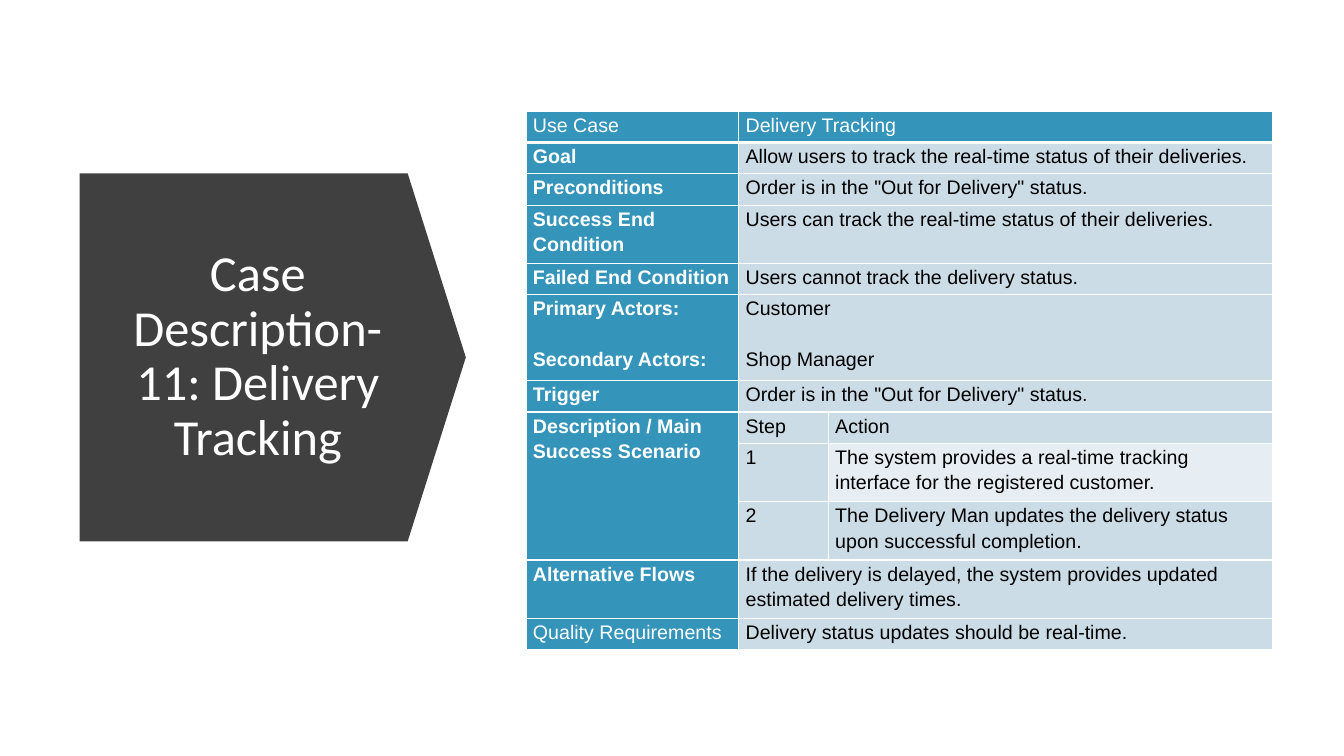
import lxml.etree
import pptx
import pptx.dml.color
import pptx.enum.shapes
import pptx.enum.text
import pptx.oxml.ns
import pptx.util

Cm = pptx.util.Cm
Pt = pptx.util.Pt
RGBColor = pptx.dml.color.RGBColor

WHITE = RGBColor(0xFF, 0xFF, 0xFF)
BLACK = RGBColor(0x00, 0x00, 0x00)
CHARCOAL = RGBColor(0x40, 0x40, 0x40)
TEAL = RGBColor(0x34, 0x94, 0xBA)
PALE_BLUE = RGBColor(0xCC, 0xDC, 0xE6)
LIGHT_BLUE = RGBColor(0xE7, 0xEE, 0xF3)

TITLE_FONT = {"name": "Calibri", "size": Pt(36)}
PLAIN_LABEL = {"name": "Arial", "size": Pt(14), "bold": False}
BOLD_LABEL = {**PLAIN_LABEL, "bold": True}
CELL_MARGINS = {
    "margin_left": Cm(0.17),
    "margin_right": Cm(0.17),
    "margin_top": 0,
    "margin_bottom": 0,
}

COLUMN_WIDTHS = [5.36, 2.26, 11.2]
ROW_HEIGHTS = {1: 0.79, 2: 1.47, 3: 2.16}
USE_CASE = [
    (1, "Use Case", "Delivery Tracking"),
    (1, "Goal", "Allow users to track the real-time status of their deliveries."),
    (1, "Preconditions", 'Order is in the "Out for Delivery" status.'),
    (2, "Success End Condition", "Users can track the real-time status of their deliveries."),
    (1, "Failed End Condition", "Users cannot track the delivery status."),
    (3, "Primary Actors:\nSecondary Actors:", "Customer\nShop Manager"),
    (1, "Trigger", 'Order is in the "Out for Delivery" status.'),
    (1, "Description / Main Success Scenario", "Step", "Action"),
    (2, "", "1", "The system provides a real-time tracking interface for the registered customer."),
    (2, "", "2", "The Delivery Man updates the delivery status upon successful completion."),
    (2, "Alternative Flows",
     "If the delivery is delayed, the system provides updated estimated delivery times."),
    (1, "Quality Requirements", "Delivery status updates should be real-time."),
]
SCENARIO_ROWS = [index for index, row in enumerate(USE_CASE) if len(row) == 4]
FIRST_STEP_ROW = SCENARIO_ROWS[1]
PLAIN_ROWS = (0, len(USE_CASE) - 1)


def apply_format(target, values):
    for attribute, value in values.items():
        setattr(target, attribute, value)


def draw_borders(cell, row):
    properties = cell._tc.get_or_add_tcPr()
    widths = {"lnL": 1, "lnR": 1, "lnT": 3 if row == 1 else 1, "lnB": 3 if row == 0 else 1}
    for side, width in widths.items():
        line = lxml.etree.SubElement(
            properties, pptx.oxml.ns.qn(f"a:{side}"), w=str(Pt(width)))
        fill = lxml.etree.SubElement(line, pptx.oxml.ns.qn("a:solidFill"))
        lxml.etree.SubElement(fill, pptx.oxml.ns.qn("a:srgbClr"), val=str(WHITE))


def write_cell(cell, text, font_format, color):
    apply_format(cell, CELL_MARGINS)
    cell.text = text
    for position, paragraph in enumerate(cell.text_frame.paragraphs):
        paragraph.line_spacing = 1.15
        if position:
            paragraph.space_before = Pt(18)
        apply_format(paragraph.font, font_format)
        paragraph.font.color.rgb = color


def add_title_arrow(slide, left, top, width, height):
    arrow = slide.shapes.add_shape(
        pptx.enum.shapes.MSO_SHAPE.DOWN_ARROW,
        left + (width - height) // 2, top + (height - width) // 2, height, width)
    arrow.rotation = 270
    arrow.adjustments[0] = 1
    arrow.adjustments[1] = 0.158
    arrow.shadow.inherit = False
    arrow.fill.solid()
    arrow.fill.fore_color.rgb = CHARCOAL
    arrow.line.fill.background()

    title = slide.shapes.add_textbox(
        left + Cm(0.83), top + Cm(1.09), Cm(7.32), height - Cm(2.18))
    title.text_frame.text = "Case Description-11: Delivery Tracking"
    apply_format(title.text_frame, {
        "word_wrap": True,
        "vertical_anchor": pptx.enum.text.MSO_ANCHOR.MIDDLE,
    })
    paragraph = title.text_frame.paragraphs[0]
    apply_format(paragraph, {"alignment": pptx.enum.text.PP_ALIGN.CENTER, "line_spacing": 0.9})
    apply_format(paragraph.font, TITLE_FONT)
    paragraph.font.color.rgb = WHITE


def add_use_case_table(slide, left, top, width, height):
    table = slide.shapes.add_table(
        len(USE_CASE), len(COLUMN_WIDTHS), left, top, width, height).table
    for column, column_width in zip(table.columns, COLUMN_WIDTHS):
        column.width = Cm(column_width)

    for row, (lines, *texts) in enumerate(USE_CASE):
        table.rows[row].height = Cm(ROW_HEIGHTS[lines])
        label_format = PLAIN_LABEL if row in PLAIN_ROWS else BOLD_LABEL
        for column in range(len(COLUMN_WIDTHS)):
            cell = table.cell(row, column)
            draw_borders(cell, row)
            is_label = column == 0 or row == 0
            text = texts[column] if column < len(texts) else ""
            write_cell(cell, text, label_format if is_label else PLAIN_LABEL,
                       WHITE if is_label else BLACK)
            cell.fill.solid()
            cell.fill.fore_color.rgb = TEAL if is_label else PALE_BLUE
        if row not in SCENARIO_ROWS:
            table.cell(row, 1).merge(table.cell(row, 2))

    table.cell(SCENARIO_ROWS[0], 0).merge(table.cell(SCENARIO_ROWS[-1], 0))
    table.cell(FIRST_STEP_ROW, 2).fill.fore_color.rgb = LIGHT_BLUE


def main():
    presentation = pptx.Presentation()
    apply_format(presentation, {"slide_width": Cm(33.87), "slide_height": Cm(19.05)})
    slide = presentation.slides.add_slide(presentation.slide_layouts[6])
    add_title_arrow(slide, Cm(2.01), Cm(4.37), Cm(9.73), Cm(9.27))
    add_use_case_table(slide, Cm(13.26), Cm(2.8), Cm(18.82), Cm(13.54))
    presentation.save("out.pptx")


if __name__ == "__main__":
    main()
